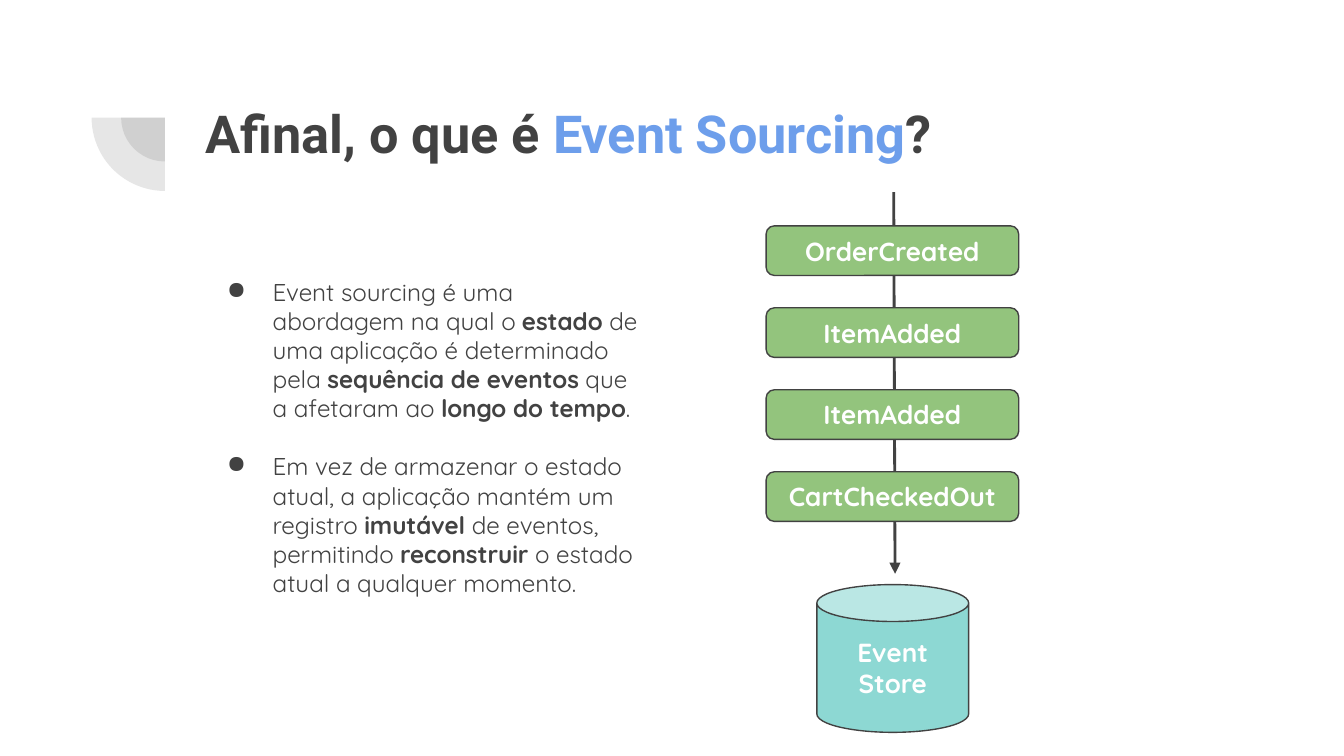
from dataclasses import dataclass
from typing import Any, NamedTuple

import lxml.etree
import pptx
import pptx.dml.color
import pptx.enum.shapes
import pptx.enum.text
import pptx.oxml.ns
import pptx.util

Pt = pptx.util.Pt
Shape = pptx.enum.shapes.MSO_SHAPE
Align = pptx.enum.text.PP_ALIGN
Anchor = pptx.enum.text.MSO_ANCHOR
AutoSize = pptx.enum.text.MSO_AUTO_SIZE
qn = pptx.oxml.ns.qn


@dataclass(frozen=True)
class Theme:
    dark: str = "424242"
    highlight: str = "6D9EEB"
    event: str = "93C47D"
    store: str = "8DD8D3"
    light: str = "FFFFFF"
    title_font: str = "Roboto"
    body_font: str = "Quicksand"
    title_size: float = 28
    body_size: float = 13
    label_size: float = 14
    outline: float = 0.75
    arrow: float = 1.5
    inset: float = 7.2


class Bounds(NamedTuple):
    """Left, top, width and height in points."""
    left: float
    top: float
    width: float
    height: float

    def lengths(self) -> list[int]:
        return [Pt(value) for value in self]


class Node(NamedTuple):
    text: str
    kind: Any
    bounds: Bounds
    fill: str


THEME = Theme()
EVENTS = ["OrderCreated", "ItemAdded", "ItemAdded", "CartCheckedOut"]
FIRST_EVENT = Bounds(410.4, 121, 135.36, 26.6)
EVENT_STEP = 43.92
STORE = Node("Event Store", Shape.CAN, Bounds(437.6, 313.2, 81.36, 79.2), THEME.store)
PIE_CENTRE = (88.4, 63)
PIE_RADII = (23.5, 39.3)

# Text between asterisks is bold.
BULLETS = [
    "Event sourcing é uma abordagem na qual o *estado *de uma aplicação é determinado "
    "pela *sequência de eventos* que a afetaram ao *longo do tempo*.",
    "Em vez de armazenar o estado atual, a aplicação mantém um registro *imutável* "
    "de eventos, permitindo *reconstruir *o estado atual a qualquer momento.",
]


def rgb(color: str) -> pptx.dml.color.RGBColor:
    return pptx.dml.color.RGBColor.from_string(color)


def add_text(para: Any, text: str, *, size: float, color: str = THEME.dark,
             font: str = THEME.body_font, bold: bool = False) -> None:
    span = para.add_run()
    span.text = text
    span.font.name = font
    span.font.size = Pt(size)
    span.font.bold = bold
    span.font.color.rgb = rgb(color)


def set_frame(frame: Any, anchor: Any, auto_size: Any = AutoSize.NONE) -> None:
    frame.word_wrap = True
    frame.auto_size = auto_size
    frame.vertical_anchor = anchor
    frame.margin_left = frame.margin_right = Pt(THEME.inset)
    frame.margin_top = frame.margin_bottom = Pt(THEME.inset)


def set_bullet(para: Any) -> None:
    properties = para._p.get_or_add_pPr()
    properties.set("marL", str(Pt(36)))
    properties.set("indent", str(Pt(-24.5)))
    color = lxml.etree.SubElement(properties, qn("a:buClr"))
    lxml.etree.SubElement(color, qn("a:srgbClr"), val=THEME.dark)
    lxml.etree.SubElement(properties, qn("a:buChar"), char="●")


def add_pie(page: Any, radius: float) -> None:
    """Draw a translucent quarter circle below and left of the shared centre."""
    x, y = PIE_CENTRE
    bounds = Bounds(x - radius, y - radius, 2 * radius, 2 * radius)
    pie = page.shapes.add_shape(Shape.PIE, *bounds.lengths())
    pie.adjustments[0] = 108
    pie.adjustments[1] = 162
    pie.rotation = 270
    pie.shadow.inherit = False
    pie.line.fill.background()
    pie.fill.solid()
    pie.fill.fore_color.rgb = rgb(THEME.dark)
    color = pie._element.spPr.find(".//" + qn("a:srgbClr"))
    lxml.etree.SubElement(color, qn("a:alpha"), val="13000")


def add_title(page: Any) -> None:
    title = page.shapes.title
    title.left, title.top, title.width, title.height = Bounds(103, 46.8, 553.7, 78.5).lengths()
    set_frame(title.text_frame, Anchor.TOP)
    para = title.text_frame.paragraphs[0]
    para.alignment = Align.LEFT
    for text, color in [("Afinal, o que é ", THEME.dark),
                        ("Event Sourcing", THEME.highlight), ("?", THEME.dark)]:
        add_text(para, text, size=THEME.title_size, color=color,
                 font=THEME.title_font, bold=True)


def add_bullets(page: Any) -> None:
    box = page.shapes.add_textbox(*Bounds(103, 141.1, 248.4, 187.9).lengths())
    frame = box.text_frame
    set_frame(frame, Anchor.TOP, AutoSize.SHAPE_TO_FIT_TEXT)
    for index, bullet in enumerate(BULLETS):
        para = frame.add_paragraph() if index else frame.paragraphs[0]
        if index < len(BULLETS) - 1:
            para.space_after = Pt(15.6)
        set_bullet(para)
        for part, text in enumerate(bullet.split("*")):
            add_text(para, text, size=THEME.body_size, bold=part % 2 == 1)


def add_arrow(page: Any) -> None:
    arrow = page.shapes.add_connector(pptx.enum.shapes.MSO_CONNECTOR.STRAIGHT,
                                      Pt(478.8), Pt(103), Pt(479.5), Pt(307.4))
    arrow.line.color.rgb = rgb(THEME.dark)
    arrow.line.width = Pt(THEME.arrow)
    lxml.etree.SubElement(arrow.line._get_or_add_ln(), qn("a:tailEnd"), type="triangle")
    lxml.etree.SubElement(arrow._element.spPr, qn("a:effectLst"))


def add_node(page: Any, node: Node) -> None:
    shape = page.shapes.add_shape(node.kind, *node.bounds.lengths())
    shape.shadow.inherit = False
    shape.fill.solid()
    shape.fill.fore_color.rgb = rgb(node.fill)
    shape.line.color.rgb = rgb(THEME.dark)
    shape.line.width = Pt(THEME.outline)
    set_frame(shape.text_frame, Anchor.MIDDLE)
    para = shape.text_frame.paragraphs[0]
    para.alignment = Align.CENTER
    add_text(para, node.text, size=THEME.label_size, color=THEME.light, bold=True)


def main() -> None:
    deck = pptx.Presentation()
    deck.slide_width, deck.slide_height = Pt(720), Pt(405)
    page = deck.slides.add_slide(deck.slide_layouts.get_by_name("Title Only"))
    for radius in PIE_RADII:
        add_pie(page, radius)
    add_title(page)
    add_bullets(page)
    add_arrow(page)
    for index, event in enumerate(EVENTS):
        bounds = FIRST_EVENT._replace(top=FIRST_EVENT.top + index * EVENT_STEP)
        add_node(page, Node(event, Shape.ROUNDED_RECTANGLE, bounds, THEME.event))
    add_node(page, STORE)
    deck.save("out.pptx")


if __name__ == "__main__":
    main()
